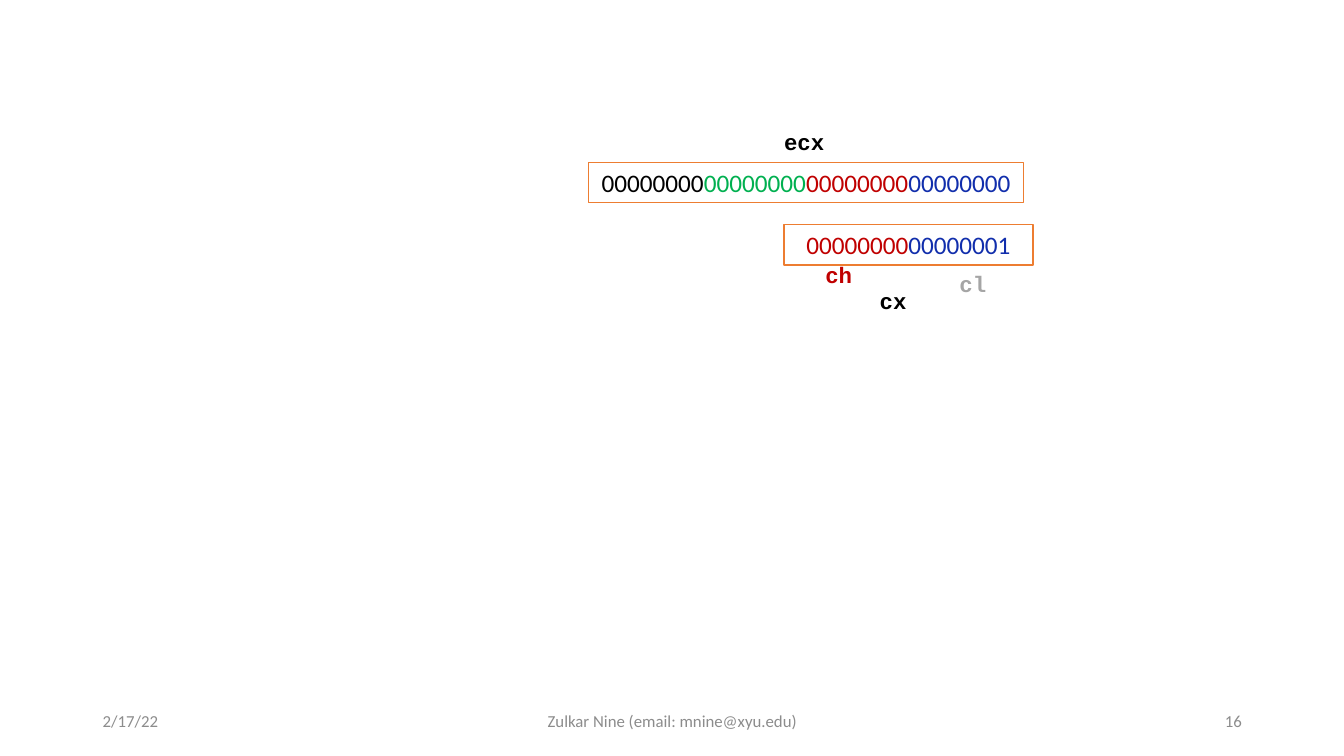
import pptx
import pptx.dml.color
import pptx.enum.shapes
import pptx.enum.text
import pptx.util

Cm = pptx.util.Cm
ALIGN = pptx.enum.text.PP_ALIGN
ANCHOR = pptx.enum.text.MSO_ANCHOR
BLACK, GREEN, RED, BLUE = "000000", "00B050", "C00000", "112EAC"
ORANGE, WHITE, PALE_GREY, FOOTER_GREY = "ED7D31", "FFFFFF", "A5A5A5", "8C8C8C"


def colour(code):
    """Return the colour of a hex string."""
    return pptx.dml.color.RGBColor.from_string(code)


def write(shape, spans, font, size, align=ALIGN.LEFT, bold=False):
    """Fill the first paragraph of a shape with coloured spans."""
    para = shape.text_frame.paragraphs[0]
    para.alignment = align
    for text, code in spans:
        span = para.add_run()
        span.text = text
        span.font.name = font
        span.font.size = pptx.util.Pt(size)
        span.font.bold = bold
        span.font.color.rgb = colour(code)


def add_register(page, left, top, width, height, bytes_shown, labels):
    """Draw a register box with its bytes and the labels around it."""
    box = page.shapes.add_shape(pptx.enum.shapes.MSO_SHAPE.RECTANGLE,
                                Cm(left), Cm(top), Cm(width), Cm(height))
    box.shadow.inherit = False
    box.fill.solid()
    box.fill.fore_color.rgb = colour(WHITE)
    box.line.color.rgb = colour(ORANGE)
    box.line.width = pptx.util.Pt(1)
    box.text_frame.word_wrap = True
    box.text_frame.vertical_anchor = ANCHOR.TOP
    write(box, bytes_shown, "Calibri", 18, ALIGN.CENTER)
    for name, code, across, down in labels:
        label = page.shapes.add_textbox(Cm(left + across), Cm(top + down),
                                        Cm(0.51 + 0.34 * len(name)), Cm(0.94))
        label.text_frame.word_wrap = False
        write(label, [(name, code)], "Courier New", 16, bold=True)


def add_footer(page, left, top, height):
    """Place the date, author and page number in a row."""
    parts = [("2/17/22", 7.62, ALIGN.LEFT),
             ("Zulkar Nine (email: mnine@xyu.edu)", 11.43, ALIGN.CENTER),
             ("16", 7.62, ALIGN.RIGHT)]
    for text, width, align in parts:
        box = page.shapes.add_textbox(Cm(left), Cm(top), Cm(width), Cm(height))
        box.text_frame.word_wrap = True
        box.text_frame.vertical_anchor = ANCHOR.MIDDLE
        write(box, [(text, FOOTER_GREY)], "Calibri", 12, align)
        left += width + 1.27


def main():
    """Build the register slide and save it."""
    deck = pptx.Presentation()
    deck.slide_width, deck.slide_height = Cm(33.87), Cm(19.05)
    page = deck.slides.add_slide(deck.slide_layouts[6])
    add_footer(page, 2.34, 17.65, 1.02)
    zeros = "0" * 8
    add_register(page, 14.83, 4.09, 10.97, 1.02,
                 [(zeros, code) for code in (BLACK, GREEN, RED, BLUE)],
                 [("ecx", BLACK, 4.68, -0.99)])
    add_register(page, 19.76, 5.66, 6.27, 1.02,
                 [(zeros, RED), ("00000001", BLUE)],
                 [("cx", BLACK, 2.16, 1.45),
                  ("ch", RED, 0.79, 0.79),
                  ("cl", PALE_GREY, 4.17, 1.02)])
    deck.save("out.pptx")


if __name__ == "__main__":
    main()
